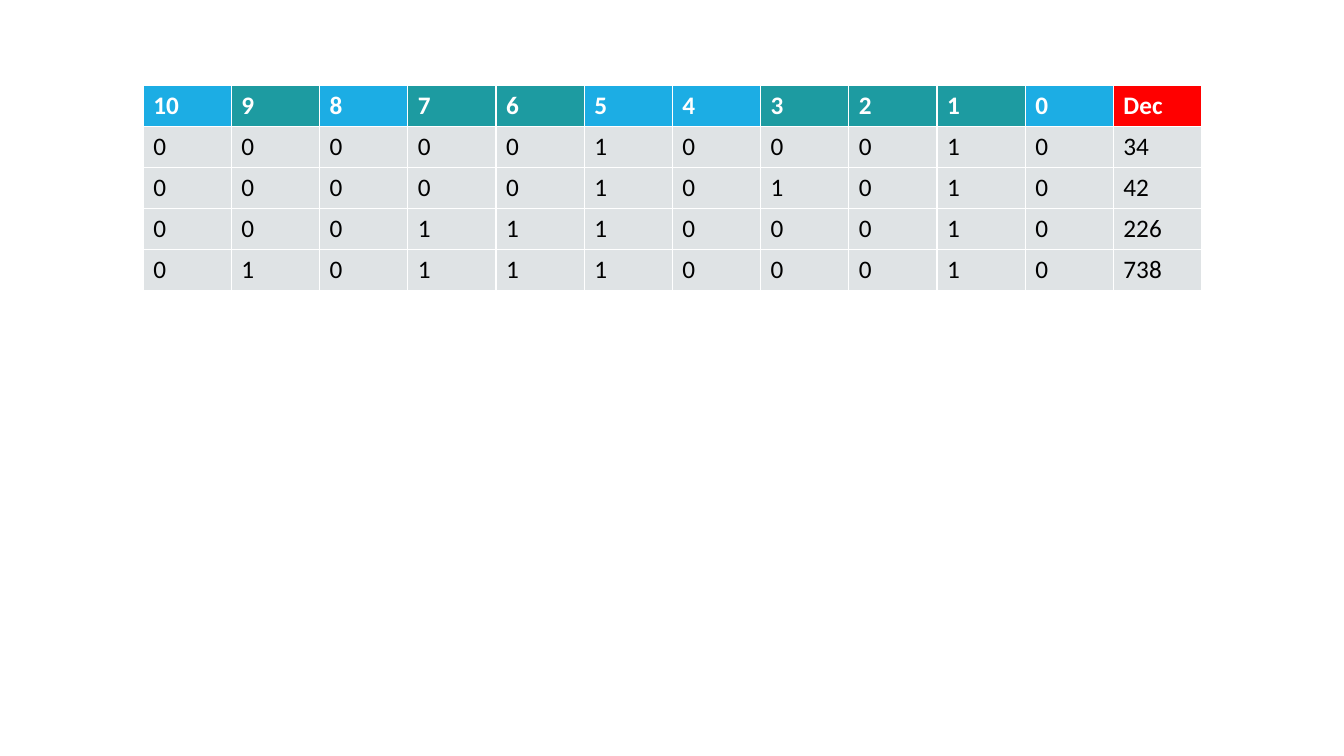
import pptx
import pptx.dml.color
import pptx.util

Inches = pptx.util.Inches

HIGHEST_BIT = 10
BITS = range(HIGHEST_BIT, -1, -1)
TEAL_BITS = {9, 7, 6, 3, 2, 1}
DECIMALS = [34, 42, 226, 738]

BLUE = "1CADE4"
TEAL = "1D9BA1"
RED = "FF0000"
GREY = "DFE3E5"
WHITE = "FFFFFF"
BLACK = "000000"


def color(hex_string):
    return pptx.dml.color.RGBColor.from_string(hex_string)


def write_text(frame, text, size=18, font="Calibri", ink=BLACK, bold=False):
    span = frame.paragraphs[0].add_run()
    span.text = text
    span.font.size = pptx.util.Pt(size)
    span.font.name = font
    span.font.bold = bold
    span.font.color.rgb = color(ink)


def fill_cell(cell, text, fill, **text_format):
    cell.fill.solid()
    cell.fill.fore_color.rgb = color(fill)
    write_text(cell.text_frame, text, **text_format)


def add_binary_table(page, left, top, width, height):
    """Show each decimal as one row of bits; the default table style draws the white rules."""
    row_count, column_count = len(DECIMALS) + 1, len(BITS) + 1
    table = page.shapes.add_table(
        row_count, column_count, Inches(left), Inches(top), Inches(width), Inches(height)
    ).table
    for column in table.columns:
        column.width = Inches(width / column_count)
    for row in table.rows:
        row.height = Inches(height / row_count)

    headings = [(str(bit), TEAL if bit in TEAL_BITS else BLUE) for bit in BITS]
    headings.append(("Dec", RED))
    for column_index, (heading, fill) in enumerate(headings):
        fill_cell(table.cell(0, column_index), heading, fill, ink=WHITE, bold=True)

    for row_index, decimal in enumerate(DECIMALS, start=1):
        values = [decimal >> bit & 1 for bit in BITS] + [decimal]
        for column_index, value in enumerate(values):
            fill_cell(table.cell(row_index, column_index), str(value), GREY)


def main():
    deck = pptx.Presentation()
    deck.slide_width = Inches(13.33)
    deck.slide_height = Inches(7.5)
    blank_layout = deck.slide_layouts[6]
    page = deck.slides.add_slide(blank_layout)
    add_binary_table(page, left=1.42, top=0.85, width=10.5, height=2.03)
    deck.save("out.pptx")


if __name__ == "__main__":
    main()
